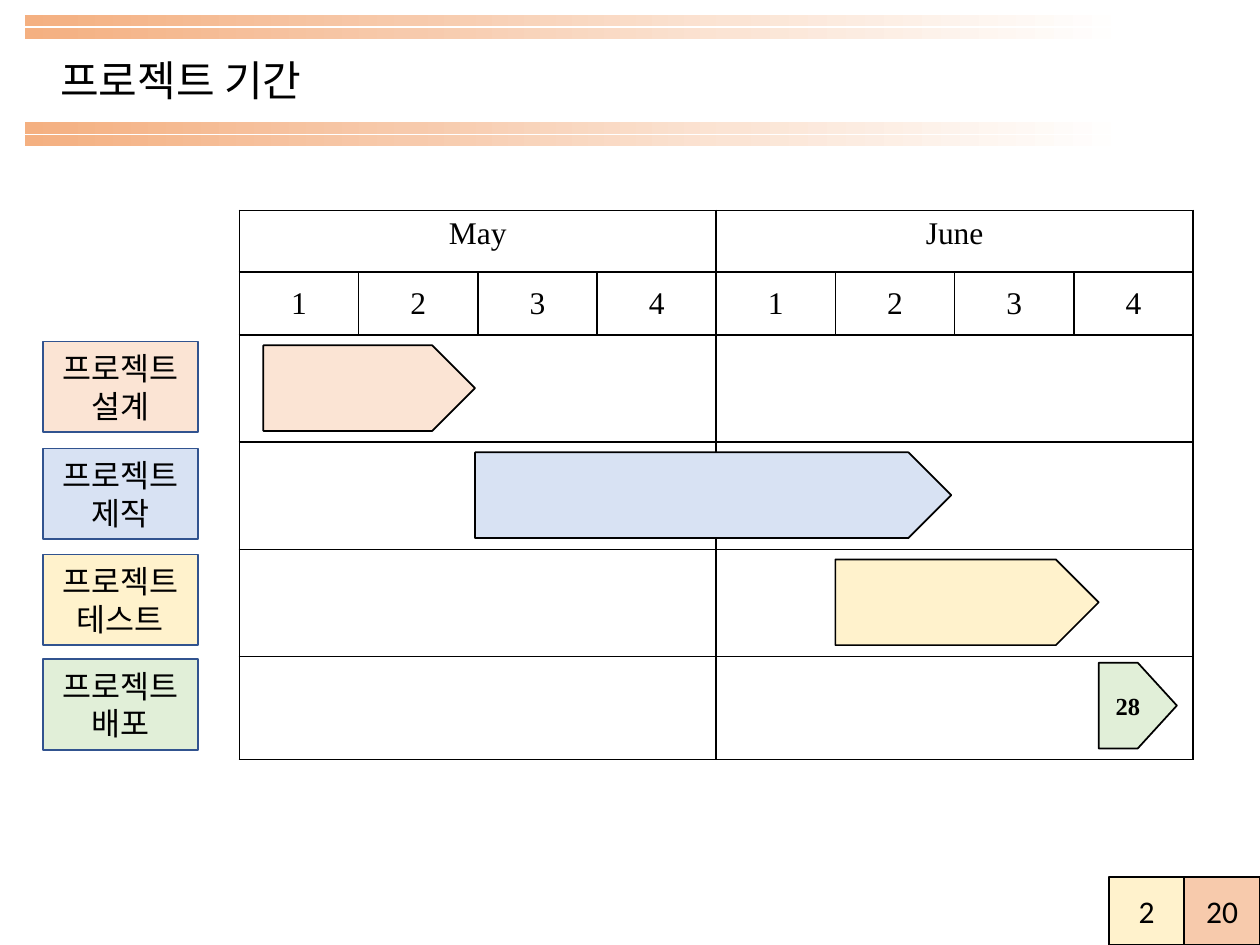
from copy import deepcopy

from lxml import etree
from pptx import Presentation
from pptx.dml.color import RGBColor
from pptx.enum import shapes, text
from pptx.oxml.ns import qn
from pptx.util import Inches, Pt

BLACK = RGBColor(0x00, 0x00, 0x00)
WHITE = RGBColor(0xFF, 0xFF, 0xFF)
PEACH = RGBColor(0xFB, 0xE4, 0xD4)
APRICOT = RGBColor(0xF7, 0xCA, 0xAC)
ORANGE = RGBColor(0xF4, 0xB0, 0x81)
BLUE = RGBColor(0xD8, 0xE2, 0xF3)
YELLOW = RGBColor(0xFF, 0xF2, 0xCC)
GREEN = RGBColor(0xE1, 0xEF, 0xD8)
NAVY = RGBColor(0x31, 0x53, 0x8F)

SANS = "Calibri"
SERIF = "Times New Roman"
RECT = shapes.MSO_SHAPE.RECTANGLE
ARROW = shapes.MSO_SHAPE.PENTAGON

BAND_STOPS = [(0, WHITE), (0.36, PEACH), (0.65, APRICOT), (1, ORANGE)]
MONTHS = ["May", "June"]
WEEKS = 4
COLUMN_WIDTH = 7.57 / (len(MONTHS) * WEEKS)
ROW_HEIGHTS = [0.49, 0.5, 0.85, 0.85, 0.85, 0.82]

# phase, colour, label top, arrow left, arrow top, arrow width, arrow text
PHASES = [
    ("설계", PEACH, 2.71, 2.09, 2.74, 1.68, ""),
    ("제작", BLUE, 3.56, 3.77, 3.59, 3.78, ""),
    ("테스트", YELLOW, 4.4, 6.63, 4.44, 2.09, ""),
    ("배포", GREEN, 5.23, 8.72, 5.26, 0.62, "28"),
]


def write(tf, lines, size=18, font=SANS, align=text.PP_ALIGN.CENTER, bold=None):
    for i, line in enumerate(lines):
        p = tf.paragraphs[0] if i == 0 else tf.add_paragraph()
        p.alignment = align
        r = p.add_run()
        r.text = line
        r.font.size = Pt(size)
        r.font.name = font
        r.font.bold = bold
        r.font.color.rgb = BLACK


def add_box(parent, kind, x, y, w, h, fill, line=BLACK):
    sp = parent.add_shape(kind, Inches(x), Inches(y), Inches(w), Inches(h))
    sp.shadow.inherit = False
    sp.fill.solid()
    sp.fill.fore_color.rgb = fill
    sp.line.color.rgb = line
    sp.line.width = Pt(1)
    sp.text_frame.word_wrap = True
    sp.text_frame.vertical_anchor = text.MSO_ANCHOR.MIDDLE
    return sp


def add_band(parent, y):
    """Add a stripe that fades from orange to white."""
    sp = parent.add_shape(RECT, Inches(0.2), Inches(y), Inches(8.77), Inches(0.09))
    sp.shadow.inherit = False
    sp.line.fill.background()
    sp.fill.gradient()
    sp.fill.gradient_angle = 180
    stops = sp.fill._xPr.find(".//" + qn("a:gsLst"))
    while len(stops) < len(BAND_STOPS):
        stops.append(deepcopy(stops[0]))
    for stop, (position, color) in zip(sp.fill.gradient_stops, BAND_STOPS):
        stop.position = position
        stop.color.rgb = color


def add_title(s, title):
    box = s.shapes.add_textbox(Inches(0.38), Inches(0.38), Inches(5.9), Inches(0.5))
    tf = box.text_frame
    tf.word_wrap = True
    tf.auto_size = text.MSO_AUTO_SIZE.SHAPE_TO_FIT_TEXT
    write(tf, [title], size=24, align=text.PP_ALIGN.LEFT)


def style_cell(cell):
    """Give a cell black borders and no fill."""
    tc_pr = cell._tc.get_or_add_tcPr()
    for side in ("a:lnL", "a:lnR", "a:lnT", "a:lnB"):
        ln = etree.SubElement(tc_pr, qn(side), w=str(Pt(1)))
        fill = etree.SubElement(ln, qn("a:solidFill"))
        etree.SubElement(fill, qn("a:srgbClr"), val=str(BLACK))
    cell.fill.background()


def add_calendar(s):
    columns = len(MONTHS) * WEEKS
    frame = s.shapes.add_table(
        len(ROW_HEIGHTS), columns, Inches(1.9), Inches(1.67),
        Inches(COLUMN_WIDTH * columns), Inches(sum(ROW_HEIGHTS)))
    table = frame.table
    table.first_row = False
    table.horz_banding = False
    for column in table.columns:
        column.width = Inches(COLUMN_WIDTH)
    for row, height in zip(table.rows, ROW_HEIGHTS):
        row.height = Inches(height)
    for cell in table.iter_cells():
        style_cell(cell)

    for m, month in enumerate(MONTHS):
        first = m * WEEKS
        for row in range(len(ROW_HEIGHTS)):
            if row != 1:
                table.cell(row, first).merge(table.cell(row, first + WEEKS - 1))
        write(table.cell(0, first).text_frame, [month], font=SERIF)
        for week in range(WEEKS):
            cell = table.cell(1, first + week)
            cell.vertical_anchor = text.MSO_ANCHOR.MIDDLE
            write(cell.text_frame, [str(week + 1)], font=SERIF)


def add_phases(s):
    labels = s.shapes.add_group_shape().shapes
    for phase, color, label_top, x, y, w, note in PHASES:
        label = add_box(labels, RECT, 0.34, label_top, 1.23, 0.72, color, NAVY)
        write(label.text_frame, ["프로젝트", phase])
        arrow = add_box(s.shapes, ARROW, x, y, w, 0.68, color)
        arrow.adjustments[0] = 0.5
        if note:
            write(arrow.text_frame, [note], size=14, font=SERIF, bold=True)


def add_page_box(s, x, number, fill):
    sp = add_box(s.shapes, RECT, x, 6.96, 0.6, 0.54, fill)
    write(sp.text_frame, [number])


def main():
    prs = Presentation()
    prs.slide_width, prs.slide_height = Inches(10), Inches(7.5)
    s = prs.slides.add_slide(prs.slide_layouts[6])
    add_title(s, "프로젝트 기간")
    for top in (0.97, 0.12):
        pair = s.shapes.add_group_shape().shapes
        for offset in (0, 0.1):
            add_band(pair, top + offset)
    add_calendar(s)
    add_phases(s)
    add_page_box(s, 8.8, "2", YELLOW)
    add_page_box(s, 9.4, "20", APRICOT)
    prs.save("out.pptx")


if __name__ == "__main__":
    main()
